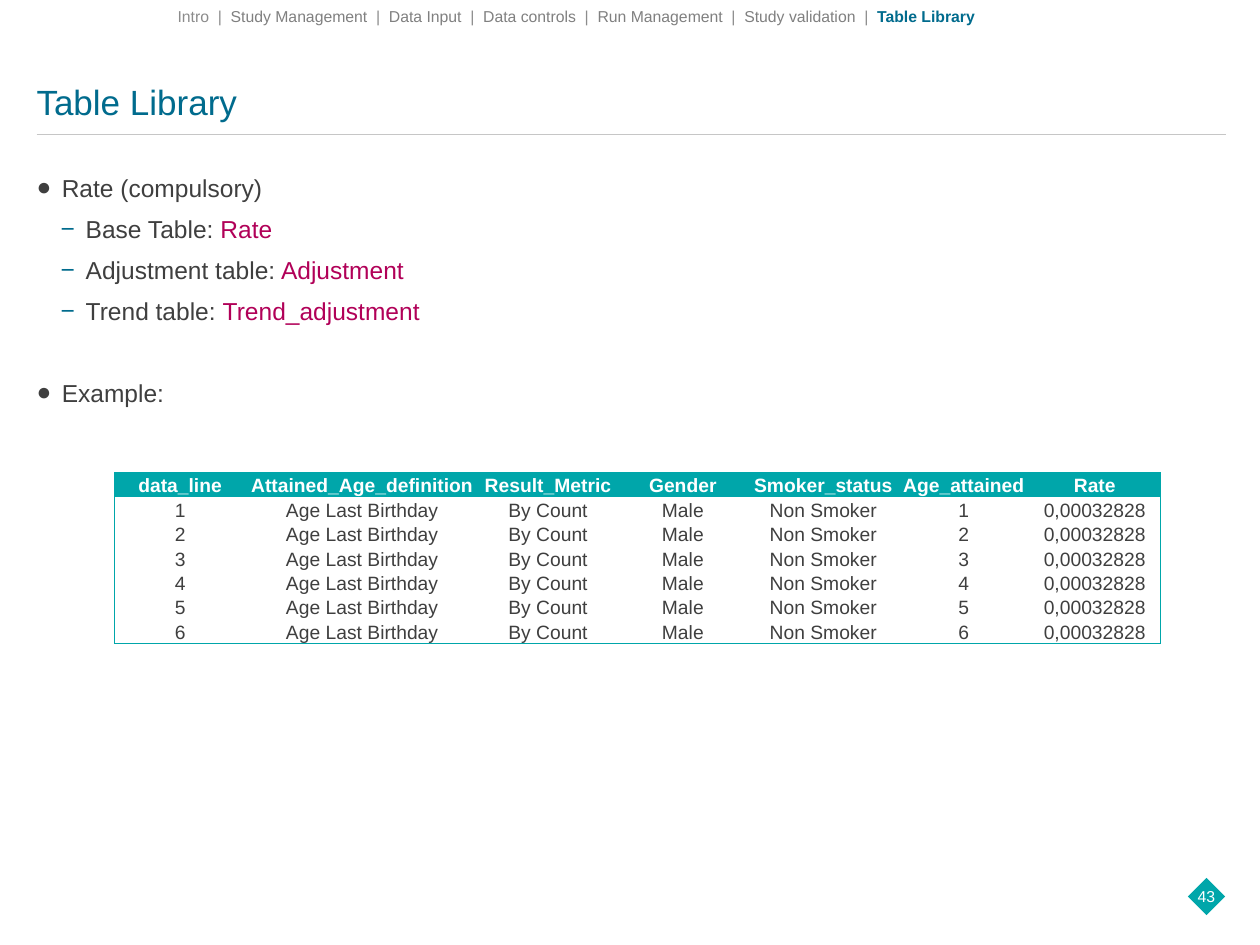
from dataclasses import dataclass

import lxml.etree
import pptx
import pptx.dml.color
import pptx.enum.shapes
import pptx.enum.text
import pptx.oxml.ns
import pptx.util
from pptx.util import Inches

FONT = "Arial"
BLUE, TEAL, MAGENTA = "006B8D", "00A6AA", "B10058"
DARK, GRAY, SEPARATOR, RULE, WHITE = "3F3F3F", "808080", "8C8C8C", "C6C6C6", "FFFFFF"
ALIGN = pptx.enum.text.PP_ALIGN
ANCHOR = pptx.enum.text.MSO_ANCHOR
NO_GRID_STYLE = "{2D5ABB26-0587-4C30-8999-92F81FD0307C}"


@dataclass
class Piece:
    text: str
    color: str = DARK
    bold: bool = False


@dataclass
class Bullet:
    pieces: list[Piece]
    level: int = 0
    space_before: float = 0


SECTIONS = ["Study Management", "Data Input", "Data controls", "Run Management", "Study validation"]
BULLETS = [
    Bullet([Piece("Rate (compulsory)")]),
    Bullet([Piece("Base Table:"), Piece(" Rate", MAGENTA)], 1),
    Bullet([Piece("Adjustment table:"), Piece(" Adjustment", MAGENTA)], 1),
    Bullet([Piece("Trend table: "), Piece("Trend_adjustment", MAGENTA)], 1),
    Bullet([Piece("Example:")], space_before=22.85),
]
HEADERS = ["data_line", "Attained_Age_definition", "Result_Metric", "Gender",
           "Smoker_status", "Age_attained", "Rate"]
COLUMN_WIDTHS = [1.04, 1.85, 1.1, 1.04, 1.19, 1.04, 1.04]
ROWS = [HEADERS] + [
    [str(age), "Age Last Birthday", "By Count", "Male", "Non Smoker", str(age), "0,00032828"]
    for age in range(1, 7)
]


def rgb(color: str) -> pptx.dml.color.RGBColor:
    return pptx.dml.color.RGBColor.from_string(color)


def add_element(parent, tag: str, **attributes: str):
    element = lxml.etree.SubElement(parent, pptx.oxml.ns.qn(tag))
    for name, value in attributes.items():
        element.set(name, value)
    return element


def write(paragraph, pieces: list[Piece], size: float) -> None:
    for piece in pieces:
        run = paragraph.add_run()
        run.text = piece.text
        run.font.name = FONT
        run.font.size = pptx.util.Pt(size)
        run.font.bold = piece.bold
        run.font.color.rgb = rgb(piece.color)


def add_text_frame(slide, left: float, top: float, width: float, height: float,
                   anchor=ANCHOR.TOP):
    box = slide.shapes.add_textbox(Inches(left), Inches(top), Inches(width), Inches(height))
    frame = box.text_frame
    frame.word_wrap = True
    frame.vertical_anchor = anchor
    frame.margin_left = frame.margin_right = frame.margin_top = frame.margin_bottom = 0
    return frame


def add_navigation(slide) -> None:
    pieces = [Piece("Intro  |  ", SEPARATOR)]
    for section in SECTIONS:
        pieces += [Piece(f"{section}  ", GRAY), Piece("|  ", SEPARATOR)]
    pieces.append(Piece("Table Library", BLUE, True))
    write(add_text_frame(slide, 1.41, 0.05, 6.43, 0.24).paragraphs[0], pieces, 9)


def add_title(slide) -> None:
    paragraph = add_text_frame(slide, 0.29, 0.54, 9.44, 0.44, ANCHOR.BOTTOM).paragraphs[0]
    paragraph.line_spacing = 0.9
    write(paragraph, [Piece("Table Library", BLUE)], 20)
    rule = slide.shapes.add_connector(
        pptx.enum.shapes.MSO_CONNECTOR.STRAIGHT,
        Inches(0.29), Inches(1.07), Inches(9.73), Inches(1.07))
    rule.line.color.rgb = rgb(RULE)
    rule.line.width = pptx.util.Pt(0.5)
    add_element(rule._element.spPr, "a:effectLst")


def add_bullets(slide) -> None:
    frame = add_text_frame(slide, 0.29, 1.37, 9.45, 5.28)
    for index, bullet in enumerate(BULLETS):
        paragraph = frame.add_paragraph() if index else frame.paragraphs[0]
        paragraph.level = bullet.level
        paragraph.space_before = pptx.util.Pt(bullet.space_before)
        paragraph.space_after = pptx.util.Pt(6.75)
        properties = paragraph._p.get_or_add_pPr()
        properties.set("marL", str(Inches((0.2, 0.39)[bullet.level])))
        properties.set("indent", str(Inches(-0.2)))
        bullet_color = add_element(properties, "a:buClr")
        add_element(bullet_color, "a:srgbClr", val=(DARK, BLUE)[bullet.level])
        add_element(properties, "a:buFont", typeface=FONT)
        add_element(properties, "a:buChar", char="●−"[bullet.level])
        write(paragraph, bullet.pieces, 14)


def add_border(cell, side: str) -> None:
    line = add_element(cell._tc.get_or_add_tcPr(), f"a:ln{side}", w=str(pptx.util.Pt(0.5)))
    add_element(add_element(line, "a:solidFill"), "a:srgbClr", val=TEAL)


def add_rate_table(slide) -> None:
    height = Inches(1.34)
    frame = slide.shapes.add_table(
        len(ROWS), len(HEADERS), Inches(0.91), Inches(3.75), Inches(8.3), height)
    table = frame.table
    table.first_row = table.horz_banding = False
    table._tbl.tblPr.find(pptx.oxml.ns.qn("a:tableStyleId")).text = NO_GRID_STYLE
    for column, width in zip(table.columns, COLUMN_WIDTHS):
        column.width = Inches(width)
    last_row, last_column = len(ROWS) - 1, len(HEADERS) - 1
    for row_index, values in enumerate(ROWS):
        table.rows[row_index].height = height // len(ROWS)
        is_header = row_index == 0
        for column_index, value in enumerate(values):
            cell = table.cell(row_index, column_index)
            cell.margin_left = cell.margin_right = cell.margin_top = Inches(0.01)
            cell.margin_bottom = 0
            cell.vertical_anchor = ANCHOR.BOTTOM
            paragraph = cell.text_frame.paragraphs[0]
            paragraph.alignment = ALIGN.CENTER
            write(paragraph, [Piece(value, WHITE if is_header else DARK, is_header)], 11)
            outer_sides = {"L": column_index == 0, "R": column_index == last_column,
                           "T": is_header, "B": row_index == last_row}
            for side, is_outer in outer_sides.items():
                if is_outer:
                    add_border(cell, side)
            if is_header:
                cell.fill.solid()
                cell.fill.fore_color.rgb = rgb(TEAL)
            else:
                cell.fill.background()


def add_page_number(slide) -> None:
    badge = slide.shapes.add_shape(
        pptx.enum.shapes.MSO_SHAPE.RECTANGLE,
        Inches(9.47), Inches(7.01), Inches(0.21), Inches(0.21))
    badge.rotation = 45
    badge.shadow.inherit = False
    badge.fill.solid()
    badge.fill.fore_color.rgb = rgb(TEAL)
    badge.line.fill.background()
    paragraph = add_text_frame(slide, 9.38, 7.04, 0.39, 0.15, ANCHOR.MIDDLE).paragraphs[0]
    paragraph.alignment = ALIGN.CENTER
    write(paragraph, [Piece("43", WHITE)], 9)


def main() -> None:
    presentation = pptx.Presentation()
    presentation.slide_width, presentation.slide_height = Inches(10), Inches(7.5)
    slide = presentation.slides.add_slide(presentation.slide_layouts[6])
    add_title(slide)
    add_page_number(slide)
    add_bullets(slide)
    add_rate_table(slide)
    add_navigation(slide)
    presentation.save("out.pptx")


if __name__ == "__main__":
    main()
